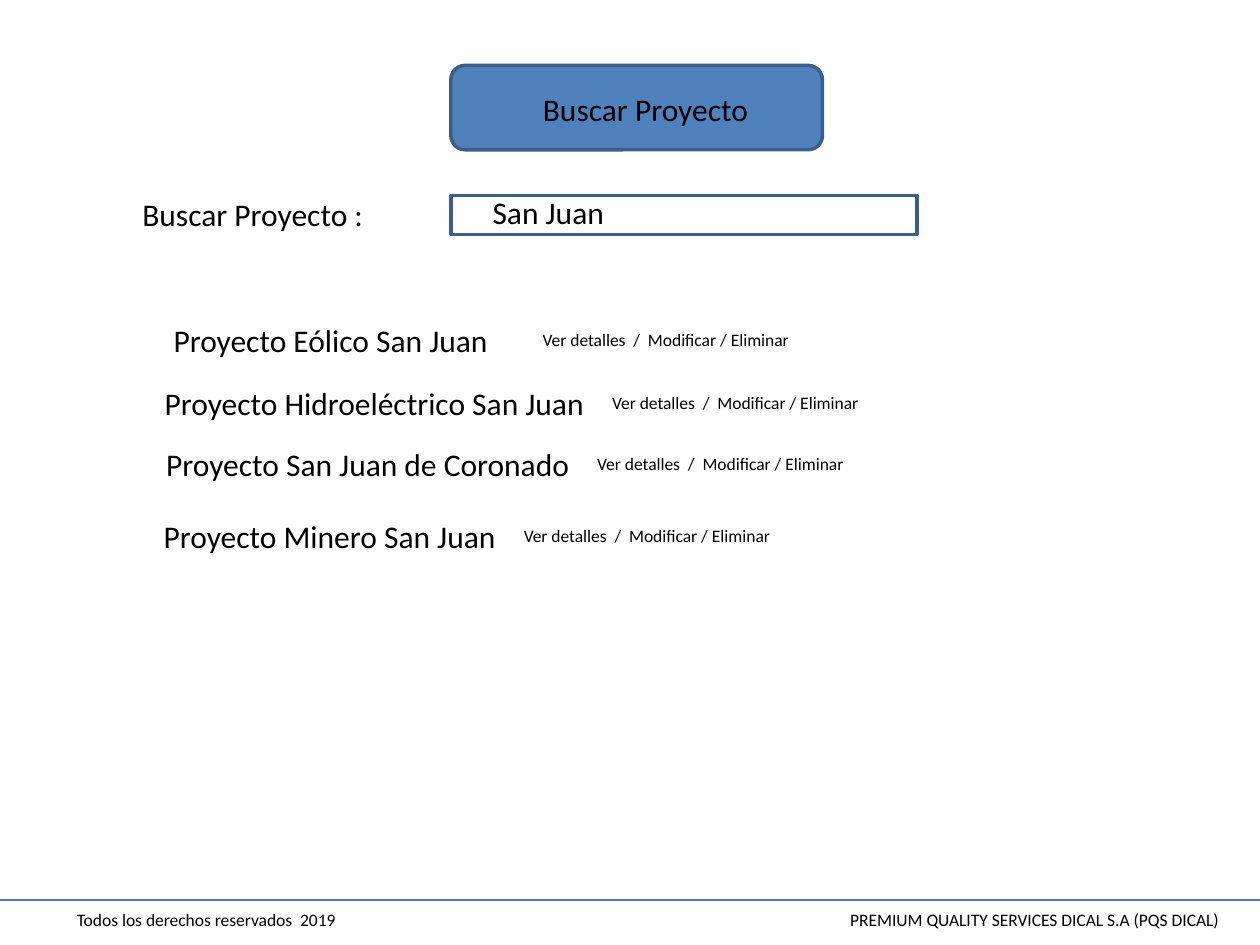
from dataclasses import dataclass

from lxml import etree
from pptx import Presentation
from pptx.dml.color import RGBColor
from pptx.enum.shapes import MSO_CONNECTOR, MSO_SHAPE
from pptx.enum.text import MSO_ANCHOR, MSO_AUTO_SIZE, PP_ALIGN
from pptx.oxml.ns import qn
from pptx.util import Cm, Pt

ROUNDED = MSO_SHAPE.ROUNDED_RECTANGLE
RECTANGLE = MSO_SHAPE.RECTANGLE
STRAIGHT = MSO_CONNECTOR.STRAIGHT
TOP = MSO_ANCHOR.TOP
LEFT = PP_ALIGN.LEFT
FIT_SHAPE = MSO_AUTO_SIZE.SHAPE_TO_FIT_TEXT

SLIDE_WIDTH, SLIDE_HEIGHT = 25.4, 19.05
TITLE_ONLY = 5
BODY_HEIGHT, SMALL_HEIGHT = 1.02, 0.69
FIELD_LEFT = 9.09
ACTIONS = "Ver detalles  /  Modificar / Eliminar"
ACTIONS_WIDTH = 9.63
ACTIONS_DROP = 0.16

# name, left, top, width, left of its actions
PROJECTS = [
    ("Proyecto Eólico San Juan", 3.25, 6.35, 7.26, 10.69),
    ("Proyecto Hidroeléctrico San Juan", 3.07, 7.62, 9.63, 12.09),
    ("Proyecto San Juan de Coronado", 3.1, 8.84, 9.4, 11.79),
    ("Proyecto Minero San Juan", 3.05, 10.29, 8.2, 10.31),
]


@dataclass(frozen=True)
class Theme:
    font: str = "Calibri"
    text: RGBColor = RGBColor(0, 0, 0)
    accent: RGBColor = RGBColor(0x4F, 0x81, 0xBD)
    outline: RGBColor = RGBColor(0x3A, 0x5F, 0x8C)
    rule: RGBColor = RGBColor(0x4B, 0x7E, 0xBC)
    body: Pt = Pt(18)
    small: Pt = Pt(10)
    border: Pt = Pt(2)
    hairline: Pt = Pt(0.75)


class SlideBuilder:
    def __init__(self, slide, theme):
        self.slide = slide
        self.theme = theme

    def _write(self, shape, wording, size):
        frame = shape.text_frame
        frame.text = wording
        frame.word_wrap = True
        frame.auto_size = FIT_SHAPE
        frame.vertical_anchor = TOP
        paragraph = frame.paragraphs[0]
        paragraph.alignment = LEFT
        font = paragraph.font
        font.name, font.size = self.theme.font, size
        font.color.rgb = self.theme.text

    def title(self, wording, left, top, width):
        """Fill the title placeholder and bring it in front of what is drawn so far."""
        title = self.slide.shapes.title
        title.left, title.top = Cm(left), Cm(top)
        title.width, title.height = Cm(width), Cm(BODY_HEIGHT)
        self._write(title, wording, self.theme.body)
        title.element.getparent().append(title.element)

    def text(self, wording, left, top, width, small=False):
        height = SMALL_HEIGHT if small else BODY_HEIGHT
        box = self.slide.shapes.add_textbox(Cm(left), Cm(top), Cm(width), Cm(height))
        self._write(box, wording, self.theme.small if small else self.theme.body)

    def box(self, kind, left, top, width, height, fill=None):
        box = self.slide.shapes.add_shape(kind, Cm(left), Cm(top), Cm(width), Cm(height))
        box.shadow.inherit = False
        if fill is None:
            box.fill.background()
        else:
            box.fill.solid()
            box.fill.fore_color.rgb = fill
        box.line.color.rgb = self.theme.outline
        box.line.width = self.theme.border

    def rule(self, top):
        rule = self.slide.shapes.add_connector(
            STRAIGHT, Cm(0), Cm(top), Cm(SLIDE_WIDTH), Cm(top))
        rule.line.color.rgb = self.theme.rule
        rule.line.width = self.theme.hairline
        etree.SubElement(rule.element.spPr, qn("a:effectLst"))


def main():
    deck = Presentation()
    deck.slide_width, deck.slide_height = Cm(SLIDE_WIDTH), Cm(SLIDE_HEIGHT)
    theme = Theme()
    page = SlideBuilder(deck.slides.add_slide(deck.slide_layouts[TITLE_ONLY]), theme)

    page.rule(18.14)
    page.text("Todos los derechos reservados  2019", 1.3, 18.21, 7.59, small=True)
    page.text("PREMIUM QUALITY SERVICES DICAL S.A (PQS DICAL)", 16.89, 18.21, 8.15, small=True)

    page.box(ROUNDED, FIELD_LEFT, 1.32, 7.49, 1.7, theme.accent)
    page.title("Buscar Proyecto", 10.69, 1.68, 4.9)

    page.text("Buscar Proyecto :", 2.62, 3.81, 6.3)
    page.box(RECTANGLE, FIELD_LEFT, 3.94, 9.4, 0.79)
    page.text("San Juan", 9.68, 3.76, 7.26)

    for name, left, top, width, actions_left in PROJECTS:
        page.text(name, left, top, width)
        page.text(ACTIONS, actions_left, top + ACTIONS_DROP, ACTIONS_WIDTH, small=True)

    deck.save("out.pptx")


if __name__ == "__main__":
    main()
